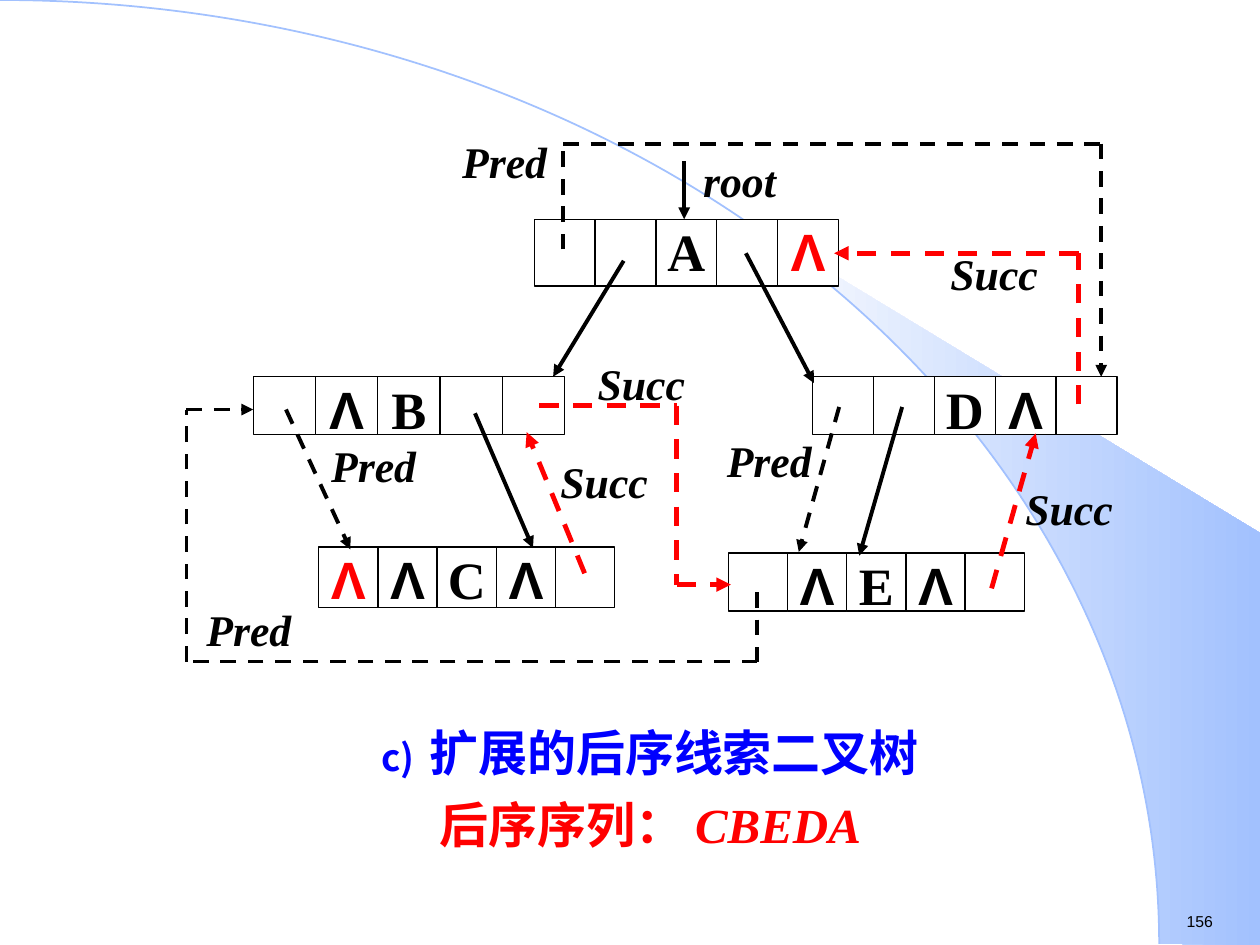
from dataclasses import dataclass
from itertools import pairwise
from math import asin, cos, pi, sin
from typing import Optional, Union

from pptx import Presentation
from pptx.dml.color import RGBColor
from pptx.enum.dml import MSO_LINE
from pptx.enum.shapes import MSO_CONNECTOR, MSO_SHAPE
from pptx.enum.text import MSO_ANCHOR, MSO_AUTO_SIZE, PP_ALIGN
from pptx.oxml.ns import qn
from pptx.util import Inches, Length, Pt
from lxml.etree import SubElement

BLACK, RED, BLUE, WHITE = "000000", "FF0000", "0000FF", "FFFFFF"
SKY, PALE = "A2C1FE", "FEFEFE"
SERIF, SANS = "Times New Roman", "Arial"
NULL = "Λ"
COLUMNS, ROWS = 100, 75  # grid cells of a tenth of an inch
TIGHT, SNUG, EXACT = 0.72, 0.75, Pt(25)  # line spacings of the labels

Point = tuple[float, float]


@dataclass
class Node:
    """A row of five cells: left thread, left link, data, right link, right thread."""
    left: float
    top: float
    cell_width: float
    height: float
    cells: tuple[str, ...]
    red_cell: Optional[int] = None


@dataclass
class Label:
    text: str
    left: float
    top: float
    width: float
    height: float
    spacing: Union[float, Length]


@dataclass
class Route:
    """A chain of straight lines with an arrowhead at its end."""
    points: tuple[Point, ...]
    color: str = BLACK
    dashed: bool = True


NODES = (
    Node(42.4, 17.4, 4.83, 5.3, ("", "", "A", "", NULL), red_cell=4),
    Node(20.1, 29.9, 4.94, 4.6, ("", NULL, "B", "", "")),
    Node(64.5, 29.9, 4.83, 4.6, ("", "", "D", NULL, "")),
    Node(25.3, 43.4, 4.7, 4.8, (NULL, NULL, "C", NULL, ""), red_cell=0),
    Node(57.8, 43.9, 4.7, 4.6, ("", NULL, "E", NULL, "")),
)

LABELS = (
    Label("Pred", 35.8, 11.4, 8.5, 3.2, EXACT),
    Label("root", 55.4, 13.3, 6.6, 2.7, TIGHT),
    Label("Succ", 75.2, 20.7, 7.4, 2.7, TIGHT),
    Label("Succ", 47.2, 29.4, 7.4, 2.7, TIGHT),
    Label("Succ", 44.1, 36.8, 7.7, 3.1, EXACT),
    Label("Succ", 81.1, 38.9, 7.5, 3.6, EXACT),
    Label("Pred", 57.5, 35.4, 7.1, 2.4, SNUG),
    Label("Pred", 26.1, 35.8, 7.1, 2.4, SNUG),
    Label("Pred", 16.2, 48.8, 7.1, 2.4, SNUG),
)

ROUTES = (
    # Tree links
    Route(((54.3, 12.8), (54.3, 17.4)), dashed=False),
    Route(((49.5, 20.7), (43.9, 29.9)), dashed=False),
    Route(((59.2, 20.1), (64.6, 30.4)), dashed=False),
    Route(((37.7, 32.8), (42.3, 43.5)), dashed=False),
    Route(((71.6, 32.3), (68.2, 44.1)), dashed=False),
    # Predecessor threads
    Route(((66.6, 32.3), (63.4, 43.8))),
    Route(((22.7, 32.5), (27.8, 43.6))),
    Route(((44.7, 19.8), (44.7, 11.4), (87.4, 11.4), (87.4, 29.9))),
    Route(((60.1, 47), (60.1, 52.5), (14.8, 52.5), (14.8, 32.5), (20.1, 32.5))),
    # Successor threads
    Route(((46.4, 45.5), (41.8, 34.3)), RED),
    Route(((78.7, 46.7), (82.2, 34.4)), RED),
    Route(((42.8, 32.2), (53.7, 32.2), (53.7, 46.4), (58, 46.4)), RED),
    Route(((85.6, 32.1), (85.6, 20.1), (66.2, 20.1)), RED),
)


def grid(*cells: float) -> list[Length]:
    return [Inches(cell / 10) for cell in cells]


def rgb(color: str) -> RGBColor:
    return RGBColor.from_string(color)


def style_run(run, size: float, color: str, name: str = SERIF,
              bold: bool = True, italic: bool = False) -> None:
    font = run.font
    font.size, font.name, font.bold, font.italic = Pt(size), name, bold, italic
    font.color.rgb = rgb(color)


def clear_margins(text_frame) -> None:
    text_frame.margin_left = text_frame.margin_right = 0
    text_frame.margin_top = text_frame.margin_bottom = 0
    text_frame.vertical_anchor = MSO_ANCHOR.TOP
    text_frame.word_wrap = True


def draw_background(slide) -> None:
    # Quarter ellipse centred on the lower left corner, with a wedge beside it
    radius_x, radius_y = 92, 74.9
    start = asin(0.64)
    angles = [start + (pi / 2 - start) * step / 30 for step in range(31)]
    edge = [(radius_x * sin(angle), radius_y * (1 - cos(angle))) for angle in angles]
    outline = [grid(*point) for point in edge + [(COLUMNS, ROWS), (COLUMNS, 42.3)]]
    builder = slide.shapes.build_freeform(*outline[0])
    builder.add_line_segments(outline[1:], close=True)
    wedge = builder.convert_to_shape()
    wedge.shadow.inherit = False
    wedge.line.fill.background()
    wedge.fill.gradient()
    wedge.fill.gradient_angle = 0
    for stop, color in zip(wedge.fill.gradient_stops, (PALE, SKY)):
        stop.color.rgb = rgb(color)

    arc = slide.shapes.add_shape(
        MSO_SHAPE.ARC, *grid(-radius_x, 0, 2 * radius_x, 2 * radius_y))
    arc.shadow.inherit = False
    arc.fill.background()
    arc.line.color.rgb, arc.line.width = rgb(SKY), Pt(1)


def draw_node(slide, node: Node) -> None:
    for index, text in enumerate(node.cells):
        cell = slide.shapes.add_shape(
            MSO_SHAPE.RECTANGLE,
            *grid(node.left + index * node.cell_width, node.top, node.cell_width, node.height))
        cell.shadow.inherit = False
        cell.fill.solid()
        cell.fill.fore_color.rgb = rgb(WHITE)
        cell.line.color.rgb, cell.line.width = rgb(BLACK), Pt(0.75)
        if text:
            clear_margins(cell.text_frame)
            cell.text_frame.text = text
            paragraph = cell.text_frame.paragraphs[0]
            paragraph.alignment = PP_ALIGN.CENTER
            style_run(paragraph.runs[0], 30, RED if index == node.red_cell else BLACK,
                      SANS if text == NULL else SERIF)


def draw_label(slide, label: Label) -> None:
    box = slide.shapes.add_textbox(*grid(label.left, label.top, label.width, label.height))
    clear_margins(box.text_frame)
    box.text_frame.text = label.text
    paragraph = box.text_frame.paragraphs[0]
    paragraph.alignment, paragraph.line_spacing = PP_ALIGN.CENTER, label.spacing
    style_run(paragraph.runs[0], 25, BLACK, italic=True)


def draw_route(slide, route: Route) -> None:
    for start, end in pairwise(route.points):
        connector = slide.shapes.add_connector(
            MSO_CONNECTOR.STRAIGHT, *grid(*start, *end))
        connector.line.color.rgb = rgb(route.color)
        connector.line.width = Pt(2.75 if route.color == RED else 2.25)
        if route.dashed:
            connector.line.dash_style = MSO_LINE.DASH
        properties = connector.element.spPr
        if end == route.points[-1]:
            SubElement(properties.find(qn("a:ln")), qn("a:tailEnd"), type="triangle")
        SubElement(properties, qn("a:effectLst"))


def write_caption(body) -> None:
    body.left, body.top, body.width, body.height = grid(25.8, 57.9, 51.6, 9.1)
    text_frame = body.text_frame
    clear_margins(text_frame)
    text_frame.auto_size = MSO_AUTO_SIZE.NONE
    text_frame.text = "扩展的后序线索二叉树"
    heading, sequence = text_frame.paragraphs[0], text_frame.add_paragraph()
    sequence.text = "后序序列： "
    sequence.add_run().text = "CBEDA"
    for paragraph, space in ((heading, 0), (sequence, 10.5)):
        paragraph.alignment, paragraph.line_spacing = PP_ALIGN.CENTER, 0.9
        paragraph.space_before = Pt(space)
        properties = paragraph._p.get_or_add_pPr()
        properties.set("marL", str(Inches(0.38)))
        properties.set("indent", str(Inches(-0.38)))
    # Lettered heading that starts at c)
    properties = heading._p.get_or_add_pPr()
    SubElement(SubElement(properties, qn("a:buClr")), qn("a:srgbClr"), val=BLUE)
    SubElement(properties, qn("a:buSzPct"), val="75000")
    SubElement(properties, qn("a:buAutoNum"), type="alphaLcParenR", startAt="3")
    SubElement(sequence._p.get_or_add_pPr(), qn("a:buNone"))
    style_run(heading.runs[0], 28, BLUE)
    style_run(sequence.runs[0], 28, RED)
    style_run(sequence.runs[1], 28, RED, italic=True)


def main() -> None:
    presentation = Presentation()
    presentation.slide_width, presentation.slide_height = grid(COLUMNS, ROWS)
    slide = presentation.slides.add_slide(presentation.slide_layouts[1])
    title, body = slide.placeholders
    title.element.getparent().remove(title.element)

    draw_background(slide)
    write_caption(body)
    for label in LABELS:
        draw_label(slide, label)
    for node in NODES:
        draw_node(slide, node)
    for route in ROUTES:
        draw_route(slide, route)

    # Slide number
    number = slide.shapes.add_textbox(*grid(93.2, 71.9, 7.7, 2.5))
    number.text_frame.word_wrap = False
    number.text_frame.text = "156"
    style_run(number.text_frame.paragraphs[0].runs[0], 9, BLACK, SANS, bold=False)
    presentation.save("out.pptx")


if __name__ == "__main__":
    main()
